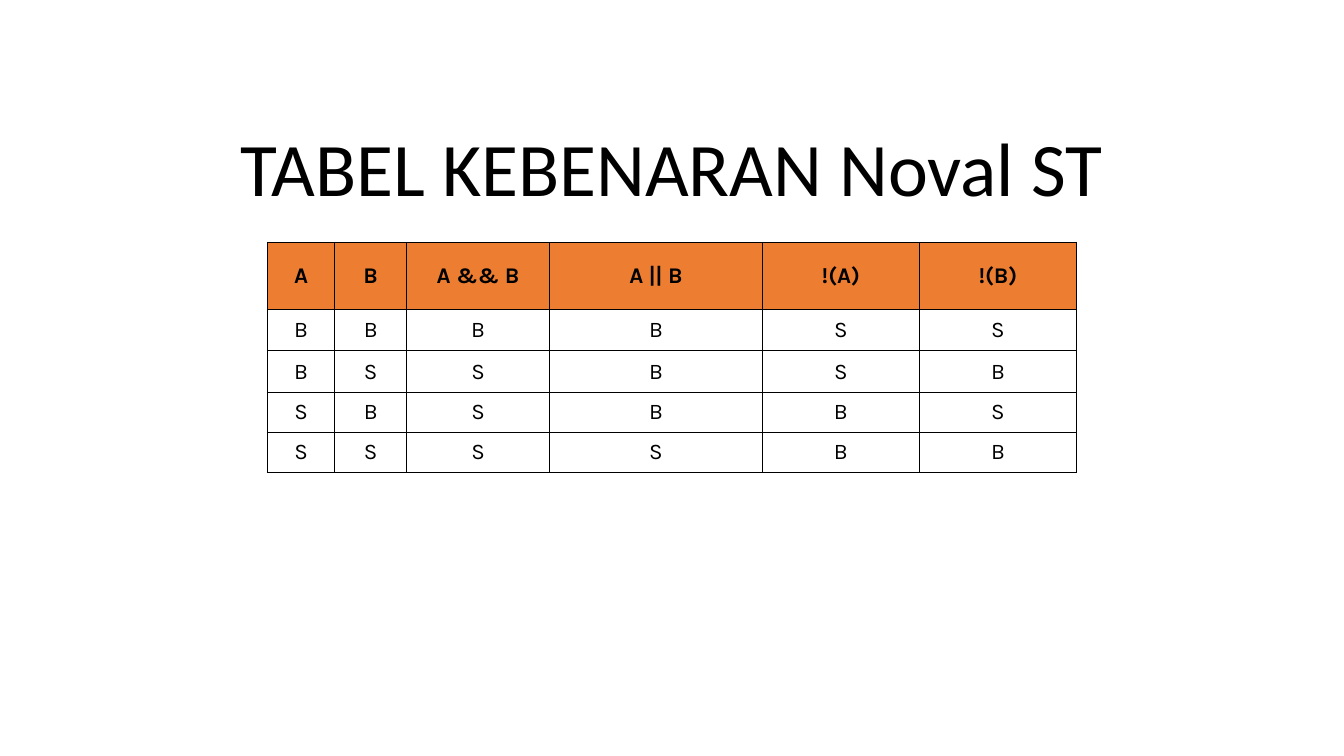
from lxml import etree
from pptx import Presentation
from pptx.dml.color import RGBColor
from pptx.enum import text
from pptx.oxml import ns
from pptx.util import Pt

BLACK = RGBColor(0x00, 0x00, 0x00)
WHITE = RGBColor(0xFF, 0xFF, 0xFF)
ORANGE = RGBColor(0xED, 0x7D, 0x31)

COLUMN_WIDTHS = [48.2, 51.2, 102.2, 152, 112.2, 112.2]
ROW_HEIGHTS = [47.6, 29.8, 30, 28.2, 28.6]
TRUTH_TABLE = [
    ["A", "B", "A && B", "A || B", "!(A)", "!(B)"],
    ["B", "B", "B", "B", "S", "S"],
    ["B", "S", "S", "B", "S", "B"],
    ["S", "B", "S", "B", "B", "S"],
    ["S", "S", "S", "S", "B", "B"],
]


class SlideBuilder:
    title_font = "Calibri"
    table_font = "Karla"
    border_width = 1

    def __init__(self, slide):
        self.slide = slide

    def set_text(self, para, words, font, size, bold=False):
        para.text = words
        para.alignment = text.PP_ALIGN.CENTER
        para.font.name = font
        para.font.size = Pt(size)
        para.font.bold = bold
        para.font.color.rgb = BLACK

    def title(self, words, left, top, width, height):
        box = self.slide.shapes.add_textbox(Pt(left), Pt(top), Pt(width), Pt(height))
        frame = box.text_frame
        frame.word_wrap = True
        frame.vertical_anchor = text.MSO_ANCHOR.BOTTOM
        para = frame.paragraphs[0]
        para.line_spacing = 0.9
        self.set_text(para, words, self.title_font, 54)

    def border(self, cell):
        properties = cell._tc.get_or_add_tcPr()
        for side in ("a:lnL", "a:lnR", "a:lnT", "a:lnB"):
            line = etree.SubElement(properties, ns.qn(side), w=str(Pt(self.border_width)))
            fill = etree.SubElement(line, ns.qn("a:solidFill"))
            etree.SubElement(fill, ns.qn("a:srgbClr"), val=str(BLACK))

    def table(self, rows, left, top, widths, heights):
        table = self.slide.shapes.add_table(
            len(rows), len(widths), Pt(left), Pt(top), Pt(sum(widths)), Pt(sum(heights))
        ).table
        for column, width in zip(table.columns, widths):
            column.width = Pt(width)
        for row, height in zip(table.rows, heights):
            row.height = Pt(height)
        for i, values in enumerate(rows):
            is_header = i == 0
            for j, value in enumerate(values):
                cell = table.cell(i, j)
                cell.vertical_anchor = text.MSO_ANCHOR.MIDDLE
                self.border(cell)
                cell.fill.solid()
                cell.fill.fore_color.rgb = ORANGE if is_header else WHITE
                para = cell.text_frame.paragraphs[0]
                self.set_text(para, value, self.table_font, 16, bold=is_header)


def main():
    deck = Presentation()
    deck.slide_width, deck.slide_height = Pt(960), Pt(540)
    page = SlideBuilder(deck.slides.add_slide(deck.slide_layouts[6]))
    page.title("TABEL KEBENARAN Noval ST", 103, 87.2, 754, 68.4)
    page.table(TRUTH_TABLE, 191, 173.2, COLUMN_WIDTHS, ROW_HEIGHTS)
    deck.save("out.pptx")


if __name__ == "__main__":
    main()
